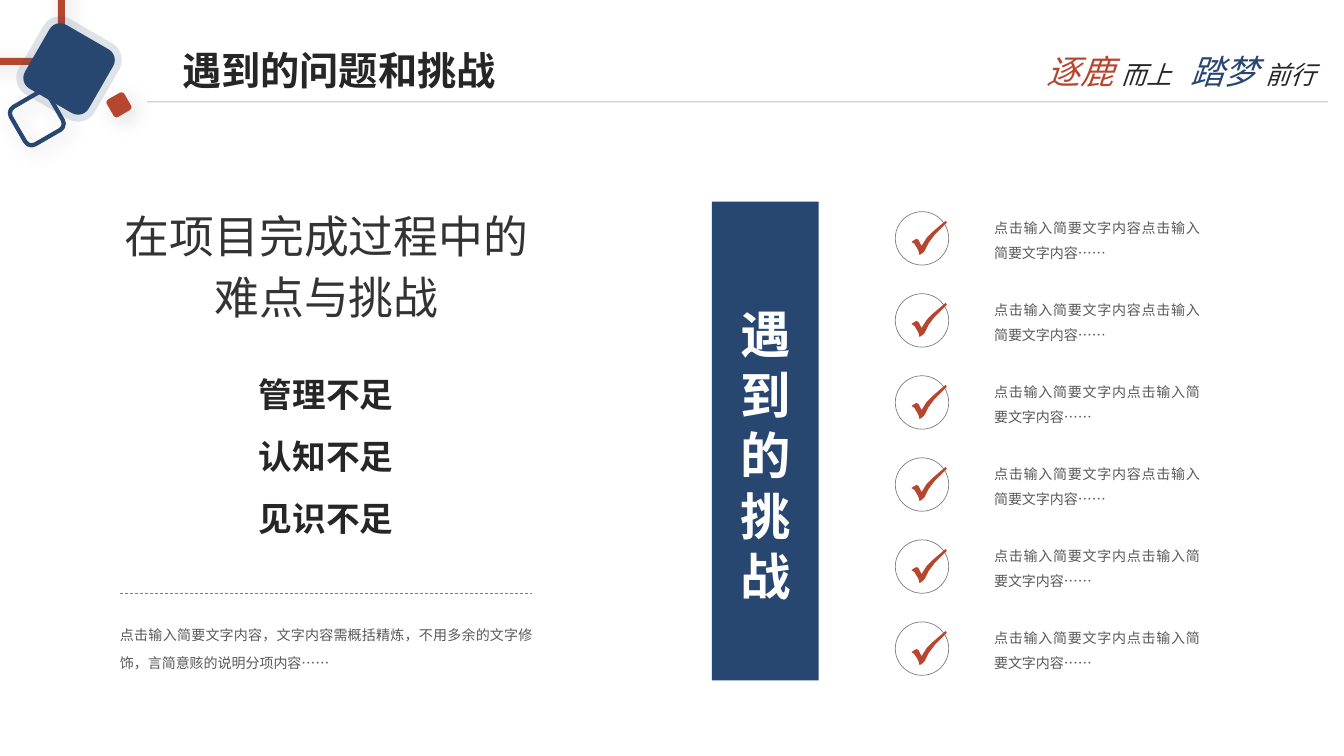
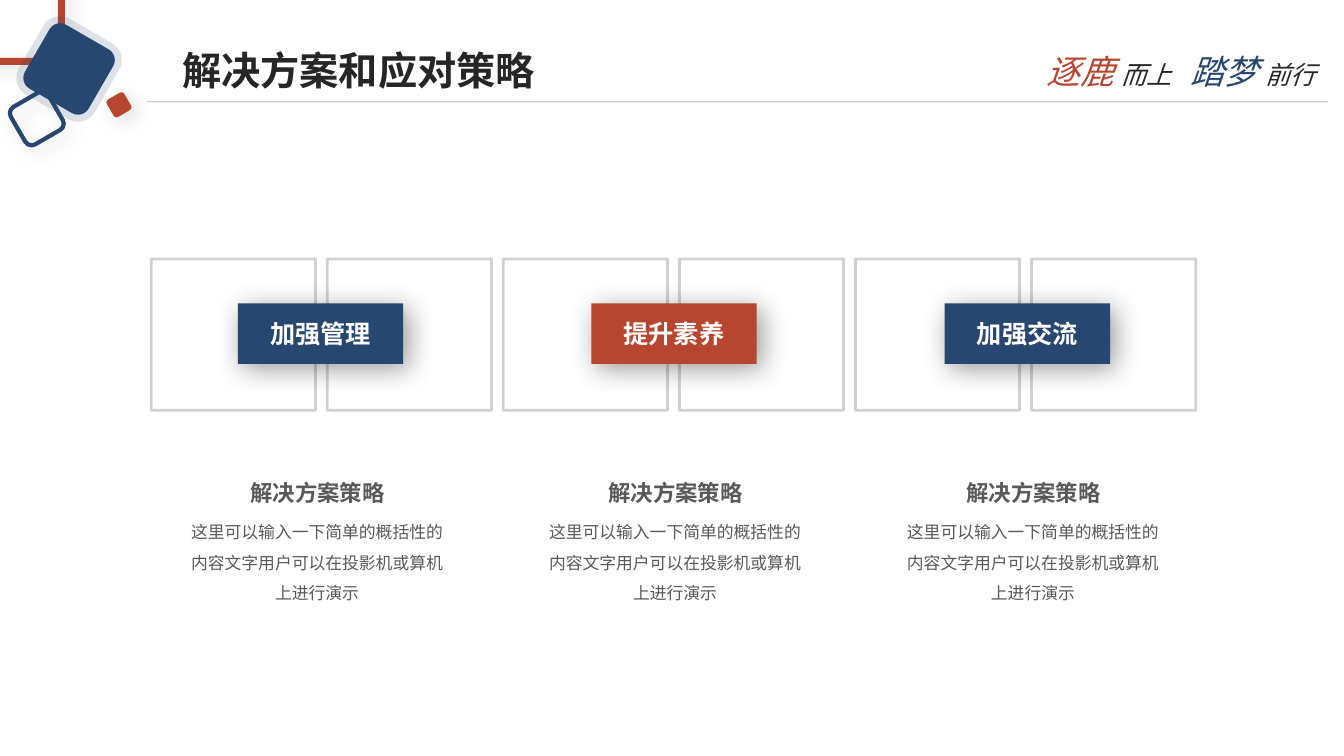
from lxml.etree import SubElement
from pptx import Presentation
from pptx.dml.color import RGBColor
from pptx.enum.dml import MSO_LINE
from pptx.enum.shapes import MSO_CONNECTOR, MSO_SHAPE
from pptx.enum.text import MSO_ANCHOR, MSO_AUTO_SIZE, PP_ALIGN
from pptx.oxml.ns import qn
from pptx.util import Inches, Pt

FONT = "Noto Sans CJK SC"
NAVY, RED, WHITE = "274670", "B64630", "FFFFFF"
INK, DARK, BODY, GREY = "262626", "333333", "595959", "808080"
RULE, FRAME = "BFBFBF", "A6A6A6"

SOFT_SHADOW = (15, 15, 5)
RULE_SHADOW = (15, 5, 2)
BUTTON_SHADOW = (40, 20, 5)

CHECK = [(34, 0), (35, 2), (30, 7), (23, 14), (17, 22), (13, 30), (11, 32),
         (8, 34), (7, 30), (6, 28), (3, 23), (0, 21), (3, 19), (5, 18),
         (7, 19), (9, 23), (10, 25), (15, 17), (21, 11), (28, 5)]

LONG_ITEM = "点击输入简要文字内容点击输入简要文字内容……"
SHORT_ITEM = "点击输入简要文字内点击输入简要文字内容……"
ITEMS = [LONG_ITEM, LONG_ITEM, SHORT_ITEM, LONG_ITEM, SHORT_ITEM, SHORT_ITEM]

STRATEGIES = [("加强管理", NAVY), ("提升素养", RED), ("加强交流", NAVY)]
STRATEGY_TITLE = "解决方案策略"
STRATEGY_TEXT = "这里可以输入一下简单的概括性的内容文字用户可以在投影机或算机上进行演示"


def rgb(color):
    return RGBColor.from_string(color)


def set_line(sp, color, width, alpha=None, dash=None):
    sp.line.color.rgb = rgb(color)
    sp.line.width = Pt(width)
    if dash:
        sp.line.dash_style = dash
    if alpha:
        ln = sp._element.spPr.find(qn("a:ln"))
        clr = ln.find(".//" + qn("a:srgbClr"))
        SubElement(clr, qn("a:alpha"), val=str(alpha * 1000))


def set_shadow(sp, shadow=None):
    effects = SubElement(sp._element.spPr, qn("a:effectLst"))
    if shadow:
        alpha, blur, dist = shadow
        outer = SubElement(effects, qn("a:outerShdw"), blurRad=str(Pt(blur)),
                           dist=str(Pt(dist)), dir="2700000", algn="tl",
                           rotWithShape="0")
        clr = SubElement(outer, qn("a:srgbClr"), val="000000")
        SubElement(clr, qn("a:alpha"), val=str(alpha * 1000))


def add_line(s, x1, x2, y, color, width, alpha=None, dash=None, shadow=None):
    sp = s.shapes.add_connector(MSO_CONNECTOR.STRAIGHT, Inches(x1), Inches(y),
                                Inches(x2), Inches(y))
    set_line(sp, color, width, alpha, dash)
    set_shadow(sp, shadow)


def paint(sp, fill, line, shadow):
    if fill:
        sp.fill.solid()
        sp.fill.fore_color.rgb = rgb(fill)
    else:
        sp.fill.background()
    if line:
        set_line(sp, *line)
    else:
        sp.line.fill.background()
    set_shadow(sp, shadow)


def add_box(s, kind, x, y, w, h, fill=None, line=None, shadow=None, rotation=0):
    sp = s.shapes.add_shape(kind, Inches(x), Inches(y), Inches(w), Inches(h))
    sp.rotation = rotation
    paint(sp, fill, line, shadow)
    return sp


def add_square(s, x, y, side, **style):
    return add_box(s, MSO_SHAPE.ROUNDED_RECTANGLE, x, y, side, side, **style)


def add_check(s, x, y):
    builder = s.shapes.build_freeform(*CHECK[0], scale=Inches(0.01))
    builder.add_line_segments(CHECK[1:], close=True)
    paint(builder.convert_to_shape(Inches(x), Inches(y)), RED, None, None)


def style_run(r, size, color, bold=False, italic=False):
    r.font.size = Pt(size)
    r.font.bold = bold
    r.font.italic = italic
    r.font.color.rgb = rgb(color)
    r.font.name = FONT
    SubElement(r.font._element, qn("a:ea"), typeface=FONT)


def write(sp, text, size, color, bold=False, align=PP_ALIGN.CENTER, spacing=None):
    p = sp.text_frame.paragraphs[0]
    p.text = text
    p.alignment = align
    if spacing:
        p.line_spacing = spacing
    style_run(p.runs[0], size, color, bold)


def add_textbox(s, x, y, w, h, inset=True):
    sp = s.shapes.add_textbox(Inches(x), Inches(y), Inches(w), Inches(h))
    tf = sp.text_frame
    tf.word_wrap = True
    tf.auto_size = MSO_AUTO_SIZE.SHAPE_TO_FIT_TEXT
    if not inset:
        tf.margin_left = tf.margin_right = tf.margin_top = tf.margin_bottom = 0
    return sp


def add_slogan(s, x, lead, color, rest):
    sp = add_textbox(s, x, 0.51, 1.4, 0.4, inset=False)
    p = sp.text_frame.paragraphs[0]
    for text, size, shade in ((lead + " ", 24, color), (rest, 18, INK)):
        r = p.add_run()
        r.text = text
        style_run(r, size, shade, italic=True)


def add_base(prs, title):
    s = prs.slides.add_slide(prs.slide_layouts[6])
    add_line(s, 1.46, 13.17, 1.01, RULE, 1, alpha=70, shadow=RULE_SHADOW)
    add_square(s, -0.36, -0.36, 0.97, line=(RED, 5), shadow=SOFT_SHADOW)
    add_square(s, 0.15, 0.96, 0.43, line=(NAVY, 3), shadow=SOFT_SHADOW, rotation=60)
    add_square(s, 0.32, 0.32, 0.73, fill=NAVY, line=(NAVY, 10, 15), rotation=30)
    add_square(s, 1.08, 0.94, 0.2, fill=RED, shadow=SOFT_SHADOW, rotation=60)
    add_slogan(s, 10.38, "逐鹿", RED, "而上")
    add_slogan(s, 11.81, "踏梦", NAVY, "前行")
    sp = add_textbox(s, 1.71, 0.32, 3.71, 0.75)
    sp.text_frame.auto_size = MSO_AUTO_SIZE.NONE
    sp.text_frame.vertical_anchor = MSO_ANCHOR.MIDDLE
    write(sp, title, 28, INK, bold=True, align=PP_ALIGN.LEFT)
    return s


def add_item(s, y, text):
    add_box(s, MSO_SHAPE.OVAL, 8.88, y, 0.53, 0.53, fill=WHITE, line=(GREY, 0.5))
    add_check(s, 9.04, y + 0.09)
    sp = add_textbox(s, 9.86, y - 0.01, 2.04, 0.48, inset=False)
    write(sp, text, 10, BODY, align=PP_ALIGN.JUSTIFY, spacing=1.5)


def build_challenges(prs):
    s = add_base(prs, "遇到的问题和挑战")
    sp = add_textbox(s, 1.17, 1.99, 4.14, 1.23, inset=False)
    write(sp, "在项目完成过程中的难点与挑战", 32, DARK, spacing=Pt(44))
    for i, text in enumerate(("管理不足", "认知不足", "见识不足")):
        sp = add_textbox(s, 2.08, 3.71 + i * 0.615, 2.31, 0.4, inset=False)
        write(sp, text, 24, INK, bold=True)
    add_line(s, 1.19, 5.28, 5.89, GREY, 0.5, dash=MSO_LINE.DASH)
    sp = add_textbox(s, 1.19, 6.1, 4.09, 0.52, inset=False)
    write(sp, "点击输入简要文字内容，文字内容需概括精炼，不用多余的文字修饰，言简意赅的说明分项内容……",
          10, BODY, align=PP_ALIGN.JUSTIFY, spacing=Pt(20))

    add_box(s, MSO_SHAPE.RECTANGLE, 7.06, 2, 1.06, 4.75, fill=NAVY)
    sp = add_textbox(s, 7.31, 3.01, 0.57, 3.03, inset=False)
    write(sp, "遇到的挑战", 36, WHITE, bold=True)

    top, last = 2.1, 6.17
    pitch = (last - top) / (len(ITEMS) - 1)
    for i, text in enumerate(ITEMS):
        add_item(s, top + i * pitch, text)


def build_solutions(prs):
    s = add_base(prs, "解决方案和应对策略")
    frames = 2 * len(STRATEGIES)
    left, last = 1.5, 10.23
    pitch = (last - left) / (frames - 1)
    for i in range(frames):
        add_box(s, MSO_SHAPE.RECTANGLE, left + i * pitch, 2.57, 1.63, 1.5,
                line=(FRAME, 2, 50))
    for i, (label, color) in enumerate(STRATEGIES):
        sp = add_box(s, MSO_SHAPE.RECTANGLE, 2.36 + i * 3.505, 3.01, 1.64, 0.6,
                     fill=color, shadow=BUTTON_SHADOW)
        sp.text_frame.vertical_anchor = MSO_ANCHOR.MIDDLE
        write(sp, label, 18, WHITE, bold=True)
        x = 1.79 + i * 3.55
        sp = add_textbox(s, x, 5.03, 2.71, 1.01)
        write(sp, STRATEGY_TEXT, 12, BODY, spacing=1.5)
        sp = add_textbox(s, x + 0.3, 4.75, 2.12, 0.33)
        write(sp, STRATEGY_TITLE, 16, BODY, bold=True, spacing=Pt(16))


def main():
    prs = Presentation()
    prs.slide_width = Inches(13.33)
    prs.slide_height = Inches(7.5)
    build_challenges(prs)
    build_solutions(prs)
    prs.save("out.pptx")


if __name__ == "__main__":
    main()
